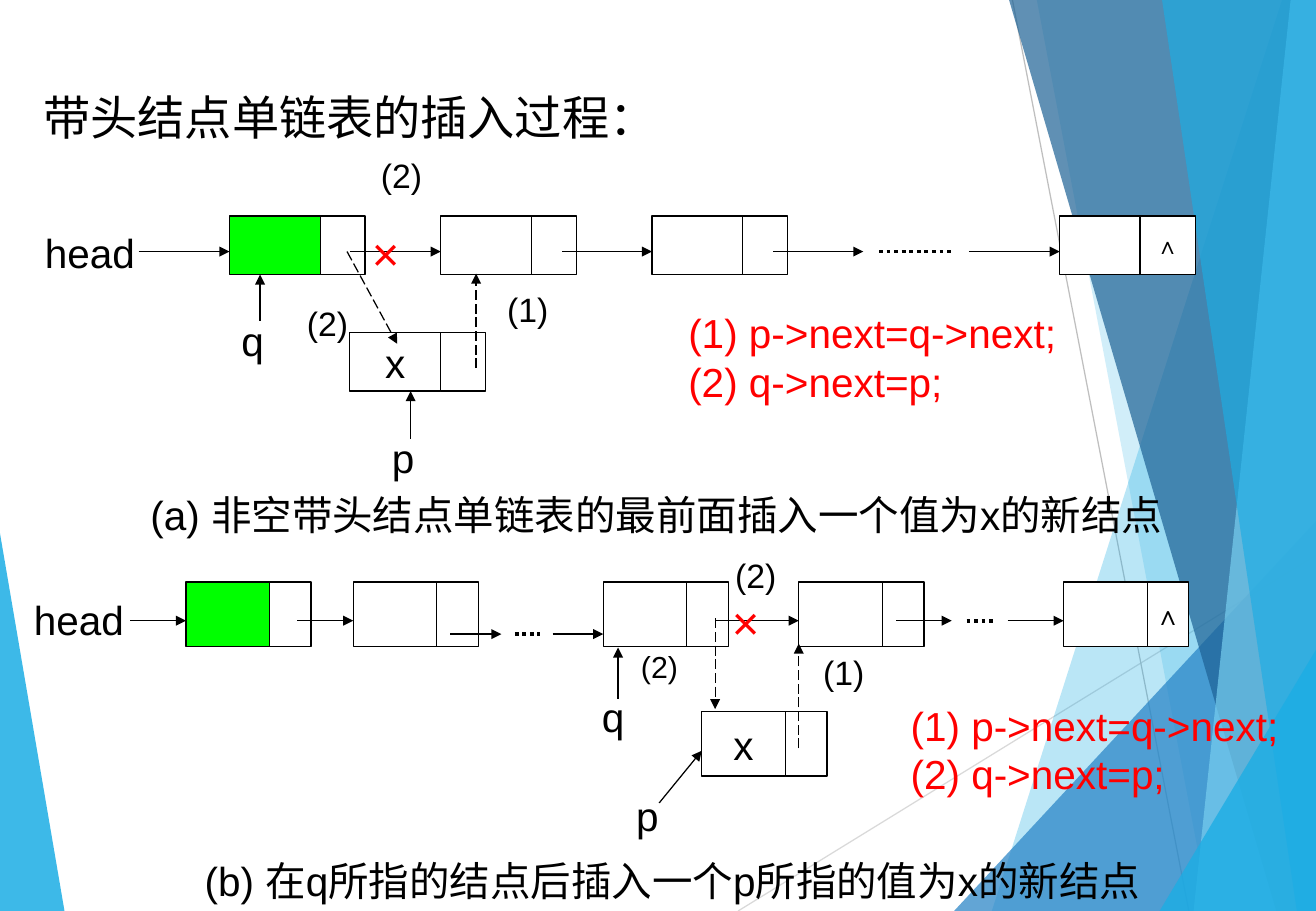
from lxml import etree
from pptx import Presentation
from pptx.dml.color import RGBColor
from pptx.enum.dml import MSO_LINE
from pptx.enum.shapes import MSO_CONNECTOR, MSO_SHAPE
from pptx.enum.text import MSO_ANCHOR, PP_ALIGN
from pptx.oxml.ns import qn
from pptx.util import Cm, Pt

STRAIGHT, RECTANGLE = MSO_CONNECTOR.STRAIGHT, MSO_SHAPE.RECTANGLE
LONG_DASH, DOTS = MSO_LINE.LONG_DASH, MSO_LINE.ROUND_DOT
LEFT, CENTER, MIDDLE = PP_ALIGN.LEFT, PP_ALIGN.CENTER, MSO_ANCHOR.MIDDLE

THEME = {
    "font": "Arial", "symbol_font": "Times New Roman",
    "black": "000000", "white": "FFFFFF", "red": "FF0000", "head": "00FF00",
    "sky": "1CADE4", "blue": "2683C6", "navy": "1D6295", "pale": "77CEEF",
    "gray": "BFBFBF", "light_gray": "D9D9D9",
    "title": 28, "body": 24, "step": 20, "small_step": 18, "null_a": 14, "null_b": 16,
    "thin": 0.75, "dots": 2.25,
}
WIDTH, HEIGHT = 27.53, 19.05

# Background: straight lines, then facets (colour, opacity in percent, corners), all in cm
BACK_LINES = [
    ("light_gray", (15.44, HEIGHT), (WIDTH, 11.61)),
    ("gray", (21.18, 0), (24.87, HEIGHT)),
]
FACETS = [
    ("sky", 85, [(0, 11.15), (1.35, HEIGHT), (0, HEIGHT)]),
    ("sky", 30, [(26.82, 0), (20.75, HEIGHT), (WIDTH, HEIGHT), (WIDTH, 0)]),
    ("sky", 20, [(21.69, 0), (25.3, HEIGHT), (WIDTH, HEIGHT), (WIDTH, 0)]),
    ("blue", 72, [(19.96, HEIGHT), (WIDTH, 10.9), (WIDTH, HEIGHT)]),
    ("navy", 70, [(21.11, 0), (26.7, HEIGHT), (WIDTH, HEIGHT), (WIDTH, 0)]),
    ("pale", 70, [(27, 0), (24.97, HEIGHT), (WIDTH, HEIGHT), (WIDTH, 0)]),
    ("sky", 65, [(24.31, 0), (27.13, HEIGHT), (WIDTH, HEIGHT), (WIDTH, 0)]),
    ("sky", 80, [(24.26, HEIGHT), (WIDTH, 13.59), (WIDTH, HEIGHT)]),
]

# List nodes: row size, then (left, top, fill, data text, pointer text, data width)
ROW_A, LINK_A, STEP_A = 4.52, 5.26, 4.42
ROW_B, LINK_B, LOW_LINK_B = 12.17, 12.98, 13.26
NODE_GROUPS = [
    {"data": 1.9, "total": 2.84, "height": 1.22, "null": "null_a", "nodes": [
        (4.8, ROW_A, "head", "", "", 1.9),
        (4.8 + STEP_A, ROW_A, "white", "", "", 1.9),
        (4.8 + 2 * STEP_A, ROW_A, "white", "", "", 1.9),
        (22.17, ROW_A, "white", "", "∧", 1.68),
        (7.32, 6.96, "white", "x", "", 1.9)]},
    {"data": 1.75, "total": 2.62, "height": 1.35, "null": "null_b", "nodes": [
        (3.89, ROW_B, "head", "", "", 1.75),
        (7.39, ROW_B, "white", "", "", 1.75),
        (12.62, ROW_B, "white", "", "", 1.75),
        (16.71, ROW_B, "white", "", "", 1.75),
        (22.25, ROW_B, "white", "", "∧", 1.75),
        (14.68, 14.88, "white", "x", "", 1.75)]},
]

# Horizontal links: (height, arrow spans, dotted spans)
LINKS = [
    (LINK_A, [(2.9, 4.8), (7.32, 9.22), (11.76, 13.64), (16.18, 18.06), (20.27, 22.17)],
     [(18.39, 19.96)]),
    (LINK_B, [(2.72, 3.89), (6.22, 7.39), (14.96, 16.71), (18.75, 19.91), (21.08, 22.25)],
     [(20.22, 20.78)]),
    (LOW_LINK_B, [(9.42, 10.49), (11.56, 12.62)], [(10.77, 11.3)]),
]
POINTERS = [
    ((5.44, 6.71), (5.44, 5.74)), ((8.59, 9.17), (8.59, 8.18)),
    ((12.93, 14.61), (12.93, 13.54)), ((13.79, 16.79), (14.68, 15.7)),
]
NEW_LINKS = [
    ((9.96, 7.7), (9.96, 5.72)), ((7.26, 5.26), (8.31, 7.19)),
    ((14.96, 12.93), (14.96, 14.83)), ((16.71, 15.65), (16.71, 13.46)),
]

# Labels: (lines, left, top, width, size, colour, alignment)
CODE = ["(1) p->next=q->next;", "(2) q->next=p;"]
LABELS = [
    (["带头结点单链表的插入过程："], 0.66, 1.73, 25.9, "title", "black", LEFT),
    (["head"], 0.69, 4.65, 2.6, "body", "black", LEFT),
    (["(2)"], 7.72, 3.12, 1.6, "step", "black", LEFT),
    (["×"], 7.53, 4.56, 1.2, "title", "red", LEFT),
    (["(2)"], 6.17, 6.21, 1.6, "step", "black", LEFT),
    (["(1)"], 10.36, 5.92, 1.6, "step", "black", LEFT),
    (["q"], 4.8, 6.48, 1.2, "body", "black", LEFT),
    (["p"], 7.95, 8.92, 1.2, "body", "black", LEFT),
    (CODE, 14.15, 6.32, 8.7, "body", "red", LEFT),
    (["(a) 非空带头结点单链表的最前面插入一个值为x的新结点"],
     1.32, 10.13, 24.82, "body", "black", CENTER),
    (["head"], 0.46, 12.32, 2.6, "body", "black", LEFT),
    (["(2)"], 15.13, 11.48, 1.6, "step", "black", LEFT),
    (["×"], 15.06, 12.29, 1.2, "title", "red", LEFT),
    (["(2)"], 13.16, 13.43, 1.5, "small_step", "black", LEFT),
    (["(1)"], 16.97, 13.51, 1.6, "step", "black", LEFT),
    (["q"], 12.34, 14.35, 1.2, "body", "black", LEFT),
    (["p"], 13.06, 16.42, 1.2, "body", "black", LEFT),
    (CODE, 18.8, 14.53, 8.7, "body", "red", LEFT),
    (["(b) 在q所指的结点后插入一个p所指的值为x的新结点"],
     2.51, 17.78, 23.11, "body", "black", CENTER),
]


def color(name):
    return RGBColor.from_string(THEME[name])


def add_line(slide, start, end, line_color="black", width="thin", dash=None, arrow=False):
    connector = slide.shapes.add_connector(STRAIGHT, *(Cm(value) for value in (*start, *end)))
    connector.line.color.rgb = color(line_color)
    connector.line.width = Pt(THEME[width])
    if dash is not None:
        connector.line.dash_style = dash
    if arrow:
        etree.SubElement(connector.line._get_or_add_ln(), qn("a:tailEnd"), type="triangle")
    etree.SubElement(connector._element.spPr, qn("a:effectLst"))


def add_facet(slide, fill, opacity, corners):
    points = [(Cm(x), Cm(y)) for x, y in corners]
    builder = slide.shapes.build_freeform(*points[0], scale=1.0)
    builder.add_line_segments(points[1:], close=True)
    shape = builder.convert_to_shape()
    shape.shadow.inherit = False
    shape.line.fill.background()
    shape.fill.solid()
    shape.fill.fore_color.rgb = color(fill)
    solid_color = shape._element.spPr.find(qn("a:solidFill"))[0]
    etree.SubElement(solid_color, qn("a:alpha"), val=str(opacity * 1000))


def write(frame, lines, size, text_color, alignment, font="font"):
    for index, line in enumerate(lines):
        paragraph = frame.add_paragraph() if index else frame.paragraphs[0]
        paragraph.text = line
        paragraph.alignment = alignment
        paragraph.font.name = THEME[font]
        paragraph.font.size = Pt(THEME[size])
        paragraph.font.color.rgb = color(text_color)


def add_cell(slide, left, top, width, height, fill, text, size, font):
    shape = slide.shapes.add_shape(RECTANGLE, Cm(left), Cm(top), Cm(width), Cm(height))
    shape.shadow.inherit = False
    shape.fill.solid()
    shape.fill.fore_color.rgb = color(fill)
    shape.line.color.rgb = color("black")
    shape.line.width = Pt(THEME["thin"])
    if text:
        shape.text_frame.word_wrap = False
        shape.text_frame.vertical_anchor = MIDDLE
        write(shape.text_frame, [text], size, "black", CENTER, font)


def add_label(slide, lines, left, top, width, size, text_color, alignment):
    height = 0.25 + len(lines) * THEME[size] * 0.042
    box = slide.shapes.add_textbox(Cm(left), Cm(top), Cm(width), Cm(height))
    box.text_frame.word_wrap = True
    write(box.text_frame, lines, size, text_color, alignment)


def main():
    presentation = Presentation()
    presentation.slide_width, presentation.slide_height = Cm(WIDTH), Cm(HEIGHT)
    slide = presentation.slides.add_slide(presentation.slide_layouts[6])

    # Background
    for line_color, start, end in BACK_LINES:
        add_line(slide, start, end, line_color)
    for facet in FACETS:
        add_facet(slide, *facet)

    # Nodes: a data cell and a pointer cell each
    for group in NODE_GROUPS:
        height = group["height"]
        for left, top, fill, data, pointer, width in group["nodes"]:
            add_cell(slide, left, top, width, height, fill, data, "body", "font")
            add_cell(slide, left + width, top, group["total"] - width, height, "white",
                     pointer, group["null"], "symbol_font")

    # Links and pointers
    for y, arrows, dotted in LINKS:
        for start, end in arrows:
            add_line(slide, (start, y), (end, y), arrow=True)
        for start, end in dotted:
            add_line(slide, (start, y), (end, y), width="dots", dash=DOTS)
    for start, end in POINTERS:
        add_line(slide, start, end, arrow=True)
    for start, end in NEW_LINKS:
        add_line(slide, start, end, dash=LONG_DASH, arrow=True)

    # Labels
    for label in LABELS:
        add_label(slide, *label)

    presentation.save("out.pptx")


if __name__ == "__main__":
    main()
